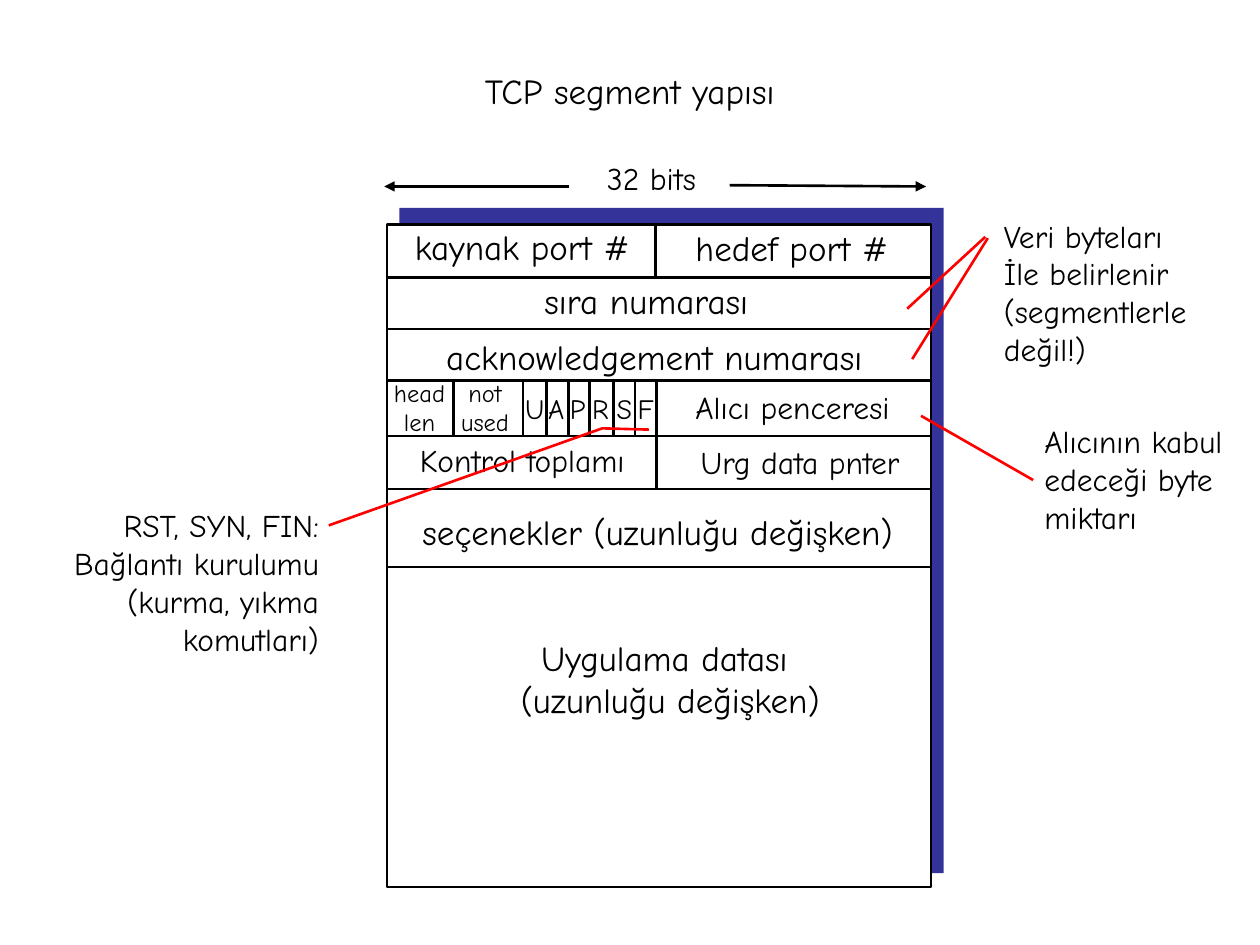
from dataclasses import dataclass
from lxml.etree import SubElement
from pptx import Presentation
from pptx.dml.color import RGBColor
from pptx.enum.shapes import MSO_CONNECTOR as Link, MSO_SHAPE as Preset
from pptx.enum.text import MSO_ANCHOR as Anchor, MSO_AUTO_SIZE as Fit, PP_ALIGN as Align
from pptx.oxml.ns import qn
from pptx.slide import Slide
from pptx.util import Inches, Pt


def colour(hex_code):
    return RGBColor.from_string(hex_code)


@dataclass
class Diagram:
    slide: Slide
    font: str = "Comic Neue"
    ink: str = "000000"
    paper: str = "FFFFFF"
    shade: str = "333399"
    accent: str = "FF0000"
    stroke: float = 1.5

    def text(self, x, y, w, h, content, size=20, align=Align.CENTER,
             wrap=False, anchor=Anchor.TOP):
        frame = self.slide.shapes.add_textbox(
            Inches(x), Inches(y), Inches(w), Inches(h)).text_frame
        frame.auto_size = Fit.NONE if wrap else Fit.SHAPE_TO_FIT_TEXT
        frame.word_wrap = wrap
        frame.vertical_anchor = anchor
        frame.text = content
        for paragraph in frame.paragraphs:
            paragraph.alignment = align
            paragraph.font.name = self.font
            paragraph.font.size = Pt(size)
            paragraph.font.color.rgb = colour(self.ink)

    def box(self, x, y, w, h, fill, outlined=False):
        rect = self.slide.shapes.add_shape(
            Preset.RECTANGLE, Inches(x), Inches(y), Inches(w), Inches(h))
        rect.shadow.inherit = False
        rect.fill.solid()
        rect.fill.fore_color.rgb = colour(fill)
        if outlined:
            self.outline(rect.line, self.ink)
        else:
            rect.line.fill.background()

    def outline(self, line, hex_code):
        line.color.rgb = colour(hex_code)
        line.width = Pt(self.stroke)

    def line(self, x1, y1, x2, y2, hex_code=None, arrow=False):
        link = self.slide.shapes.add_connector(
            Link.STRAIGHT, Inches(x1), Inches(y1), Inches(x2), Inches(y2))
        self.outline(link.line, hex_code or self.ink)
        if arrow:
            SubElement(link.line._get_or_add_ln(), qn("a:tailEnd"), type="triangle")
        SubElement(link._element.spPr, qn("a:effectLst"))

    def polyline(self, start, *points):
        builder = self.slide.shapes.build_freeform(*map(Inches, start))
        builder.add_line_segments(
            [tuple(map(Inches, point)) for point in points], close=False)
        path = builder.convert_to_shape()
        path.shadow.inherit = False
        path.fill.background()
        self.outline(path.line, self.accent)


def main():
    deck = Presentation()
    deck.slide_width, deck.slide_height = Inches(10), Inches(7.5)
    diagram = Diagram(deck.slides.add_slide(deck.slide_layouts[6]))

    diagram.text(0.5, 0.3, 9, 0.84, "TCP segment yapısı", wrap=True, anchor=Anchor.MIDDLE)

    left, top, width = 3.07, 1.78, 4.32
    right = left + width
    diagram.box(3.17, 1.65, width, 5.28, diagram.shade)
    diagram.box(left, top, width, 5.26, diagram.paper, outlined=True)

    diagram.text(4.69, 1.21, 0.96, 0.4, "32 bits", 18)
    diagram.line(5.79, 1.47, 7.35, 1.48, arrow=True)
    diagram.line(4.52, 1.48, 3.05, 1.48, arrow=True)

    ports, sequence, acknowledgement, flags, checksum, options = (
        2.2, 2.61, 3.02, 3.46, 3.88, 4.5)
    for row_end in (ports, sequence, acknowledgement, flags, checksum, options):
        diagram.line(left, row_end, right, row_end)
    diagram.line(5.2, top, 5.2, ports)
    diagram.line(5.21, acknowledgement, 5.21, checksum)
    for divider in (3.6, 4.15, 4.34, 4.51, 4.68, 4.87, 5.04):
        diagram.line(divider, acknowledgement, divider, flags)

    for x, y, w, h, content, size in (
        (3.19, 1.74, 1.91, 0.44, "kaynak port #", 20),
        (5.42, 1.75, 1.73, 0.44, "hedef port #", 20),
        (3.77, 2.17, 2.72, 0.44, "sıra numarası", 20),
        (3.33, 2.61, 3.73, 0.44, "acknowledgement numarası", 20),
        (3, 2.95, 0.66, 0.57, "head\nlen", 14),
        (3.53, 2.95, 0.64, 0.57, "not\nused", 14),
        (5.42, 3.03, 1.74, 0.4, "Alıcı penceresi", 18),
        (3.23, 3.45, 1.83, 0.4, "Kontrol toplamı", 18),
        (5.45, 3.47, 1.8, 0.4, "Urg data pnter", 18),
        (3.25, 4, 3.94, 0.44, "seçenekler (uzunluğu değişken)", 20),
        (4.03, 5, 2.58, 0.77, "Uygulama datası \n(uzunluğu değişken)", 20),
    ):
        diagram.text(x, y, w, h, content, size)
    for flag, x in zip("UAPRSF", (4.07, 4.25, 4.42, 4.6, 4.79, 4.96)):
        diagram.text(x, 3.06, 0.33, 0.37, flag, 16)

    for x, y, w, h, note, align in (
        (0.49, 3.97, 2.14, 1.3,
         "RST, SYN, FIN:\nBağlantı kurulumu\n(kurma, yıkma\nkomutları)", Align.RIGHT),
        (8.19, 3.3, 1.62, 1, "Alıcının kabul\nedeceği byte\nmiktarı", Align.LEFT),
        (7.87, 1.67, 1.73, 1.3,
         "Veri byteları\nİle belirlenir\n(segmentlerle\ndeğil!)", Align.LEFT),
    ):
        diagram.text(x, y, w, h, note, 18, align)

    diagram.polyline((2.61, 4.17), (4.78, 3.4), (5.15, 3.41))
    for pointer in ((8.2, 3.81, 7.31, 3.3), (7.84, 1.89, 7.24, 2.85), (7.82, 1.88, 7.2, 2.45)):
        diagram.line(*pointer, diagram.accent)

    deck.save("out.pptx")


if __name__ == "__main__":
    main()
